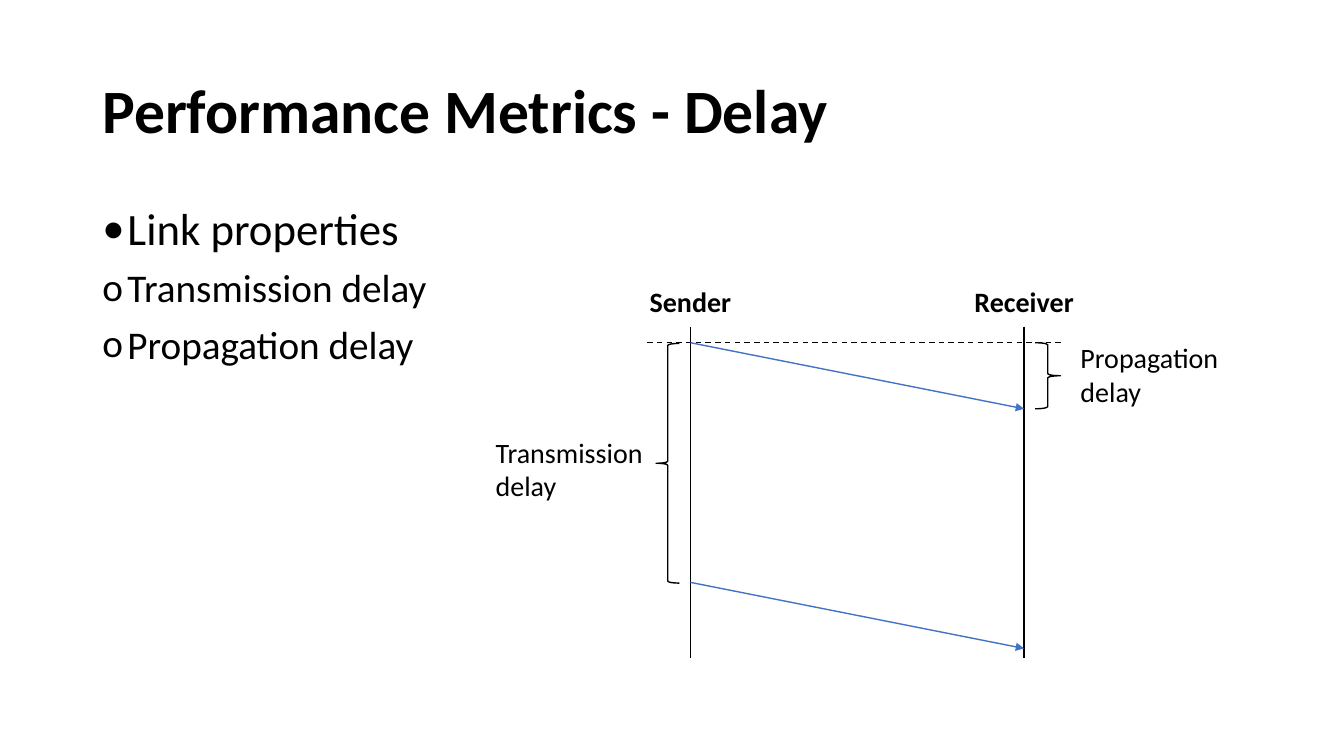
from lxml import etree
from pptx import Presentation
from pptx.dml.color import RGBColor
from pptx.enum.dml import MSO_LINE
from pptx.enum.shapes import MSO_CONNECTOR, MSO_SHAPE
from pptx.enum.text import MSO_ANCHOR, MSO_AUTO_SIZE, PP_ALIGN
from pptx.oxml.ns import qn
from pptx.util import Pt

STRAIGHT = MSO_CONNECTOR.STRAIGHT
BRACE = MSO_SHAPE.RIGHT_BRACE
DASH = MSO_LINE.DASH
MIDDLE = MSO_ANCHOR.MIDDLE
FIT_SHAPE = MSO_AUTO_SIZE.SHAPE_TO_FIT_TEXT
LEFT, CENTER = PP_ALIGN.LEFT, PP_ALIGN.CENTER

FONT = "Calibri"
COLORS = {"ink": "000000", "message": "4472C4", "paper": "FFFFFF"}


def color(name):
    return RGBColor.from_string(COLORS[name])


def style(paragraph, size, bold=False):
    for run in paragraph.runs:
        run.font.name = FONT
        run.font.size = Pt(size)
        run.font.bold = bold
        run.font.color.rgb = color("ink")


def add_title(slide, box, text):
    title = slide.shapes.add_textbox(*map(Pt, box))
    frame = title.text_frame
    frame.word_wrap = True
    frame.vertical_anchor = MIDDLE
    frame.text = text
    frame.paragraphs[0].line_spacing = 0.9
    style(frame.paragraphs[0], 44, bold=True)


def add_bullets(slide, box, items):
    frame = slide.shapes.add_textbox(*map(Pt, box)).text_frame
    frame.word_wrap = True
    for index, (bullet, text, size) in enumerate(items):
        item = frame.add_paragraph() if index else frame.paragraphs[0]
        item.text = text
        item.line_spacing = 0.9
        if index:
            item.space_before = Pt(10)
        props = item._p.get_or_add_pPr()
        props.set("marL", str(Pt(18)))
        props.set("indent", str(-Pt(18)))
        etree.SubElement(props, qn("a:buFont")).set("typeface", FONT)
        etree.SubElement(props, qn("a:buChar")).set("char", bullet)
        style(item, size)


def add_line(shapes, start, end, ink="ink", dashed=False, arrow=False):
    connector = shapes.add_connector(STRAIGHT, *map(Pt, (*start, *end)))
    connector.line.color.rgb = color(ink)
    connector.line.width = Pt(1)
    if dashed:
        connector.line.dash_style = DASH
    if arrow:
        outline = connector.line._get_or_add_ln()
        etree.SubElement(outline, qn("a:tailEnd")).set("type", "triangle")
    etree.SubElement(connector._element.spPr, qn("a:effectLst"))


def add_label(shapes, box, text, bold=False, wrap=True, align=LEFT):
    label = shapes.add_textbox(*map(Pt, box))
    frame = label.text_frame
    frame.word_wrap = wrap
    frame.auto_size = FIT_SHAPE
    frame.text = text
    frame.paragraphs[0].alignment = align
    style(frame.paragraphs[0], 20, bold)
    return label


def add_brace(shapes, box, rotation=0):
    brace = shapes.add_shape(BRACE, *map(Pt, box))
    brace.shadow.inherit = False
    brace.fill.background()
    brace.line.color.rgb = color("ink")
    brace.line.width = Pt(1)
    brace.rotation = rotation


def add_delay_diagram(slide, box):
    left, top, width, height = box
    shapes = slide.shapes.add_group_shape().shapes
    sender_x, receiver_x = left + 146.2, left + 384.5
    lifeline_top, bottom = top + 33.3, top + height
    send_start = top + 44.8
    propagation, transmission = 47.2, 171.2
    label_width, label_height = 125.3, 57.6

    # Lifelines with their headings
    for x, name, heading_width in ((sender_x, "Sender", 77),
                                   (receiver_x, "Receiver", 90.7)):
        add_line(shapes, (x, lifeline_top), (x, bottom))
        heading = add_label(shapes, (x - heading_width / 2, top, heading_width, 31.7),
                            name, bold=True, wrap=False, align=CENTER)
        if name == "Sender":
            heading.line.color.rgb = color("paper")
            heading.line.width = Pt(1)

    # Start of sending
    add_line(shapes, (sender_x - 31, send_start), (receiver_x + 27.4, send_start),
             dashed=True)

    # First and last bit on their way
    for sent in (send_start, send_start + transmission):
        add_line(shapes, (sender_x, sent), (receiver_x, sent + propagation),
                 ink="message", arrow=True)

    # Propagation delay at the receiver
    add_brace(shapes, (receiver_x + 7.9, send_start, 18, propagation))
    add_label(shapes, (left + width - label_width, top + 39.6, label_width, label_height),
              "Propagation delay")

    # Transmission delay at the sender
    add_brace(shapes, (sender_x - 24.5, send_start + 0.5, 16.6, transmission), 180)
    add_label(shapes, (left, top + 107.3, label_width, label_height),
              "Transmission delay")


def main():
    deck = Presentation()
    deck.slide_width, deck.slide_height = Pt(960), Pt(540)
    slide = deck.slides.add_slide(deck.slide_layouts[6])
    add_title(slide, (66, 28.8, 828, 104.4), "Performance Metrics - Delay")
    add_bullets(slide, (66, 144, 828, 342.7), [
        ("•", "Link properties", 32),
        ("o", "Transmission delay", 28),
        ("o", "Propagation delay", 28),
    ])
    add_delay_diagram(slide, (347, 200, 543, 270))
    deck.save("out.pptx")


if __name__ == "__main__":
    main()
